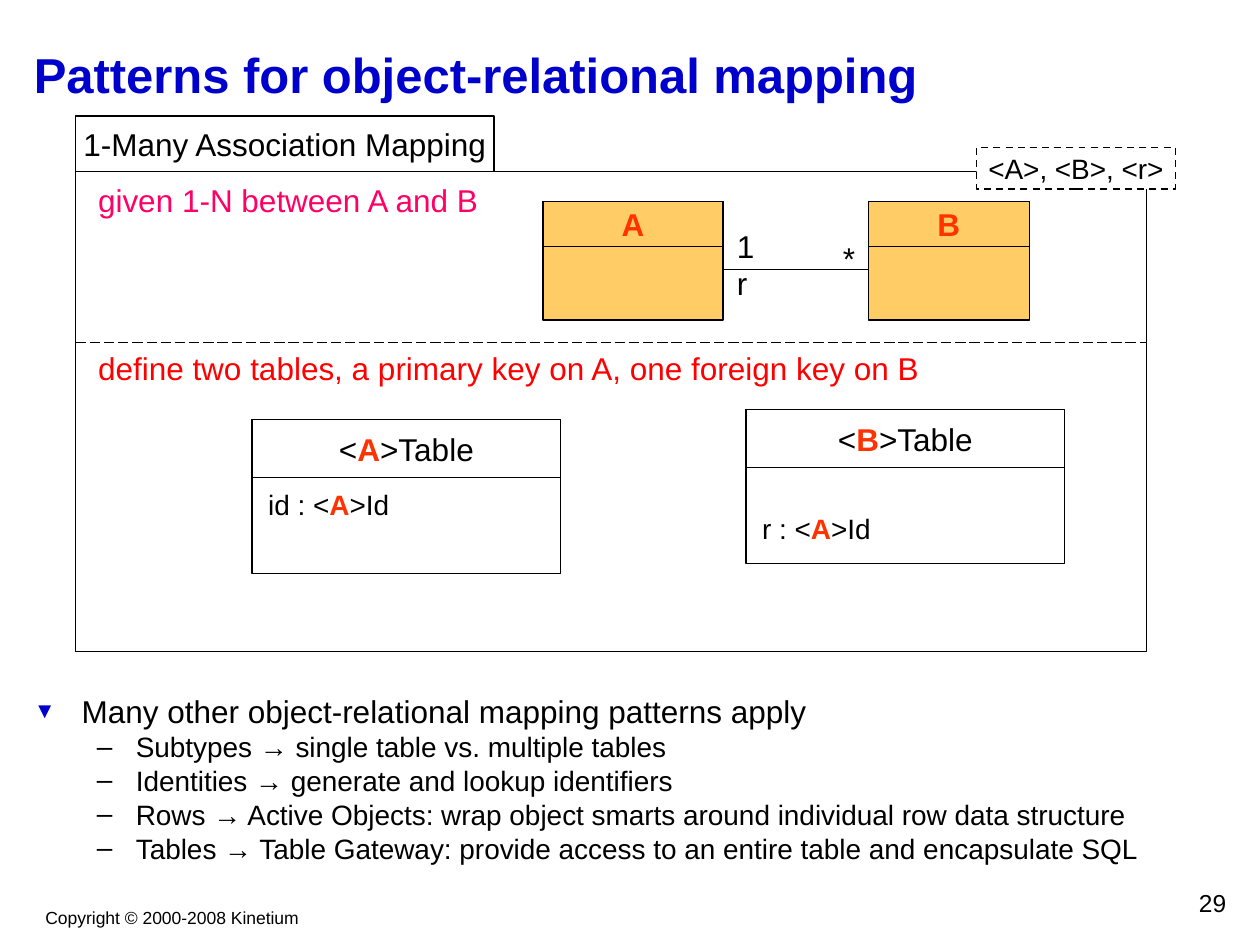
"""Build the slide on patterns for object-relational mapping."""
from lxml import etree
from pptx import Presentation
from pptx.dml.color import RGBColor
from pptx.enum.dml import MSO_LINE
from pptx.enum.shapes import MSO_CONNECTOR, MSO_SHAPE
from pptx.enum.text import MSO_ANCHOR, PP_ALIGN
from pptx.oxml.ns import qn
from pptx.util import Inches, Pt

RECT, STRAIGHT = MSO_SHAPE.RECTANGLE, MSO_CONNECTOR.STRAIGHT
DASH, LONG_DASH = MSO_LINE.DASH, MSO_LINE.LONG_DASH
TOP, MIDDLE = MSO_ANCHOR.TOP, MSO_ANCHOR.MIDDLE
LEFT, CENTER, RIGHT = PP_ALIGN.LEFT, PP_ALIGN.CENTER, PP_ALIGN.RIGHT
THEME = {
    "font": "Arial", "title": 28, "text": 18, "small": 16, "page": 14, "footer": 10,
    "black": RGBColor(0, 0, 0), "white": RGBColor(255, 255, 255),
    "blue": RGBColor(0, 0, 0xCC), "accent": RGBColor(0xFF, 0x33, 0),
    "red": RGBColor(255, 0, 0), "pink": RGBColor(0xFF, 0, 0x66),
    "class": RGBColor(0xFF, 0xCC, 0x66),
}


def write(tf, lines, size="text", color="black", bold=False, align=LEFT, anchor=TOP, wrap=False):
    """Write lines of text; parts between bars are accented."""
    tf.word_wrap, tf.vertical_anchor = wrap, anchor
    for i, line in enumerate(lines):
        p = tf.paragraphs[0] if i == 0 else tf.add_paragraph()
        p.alignment = align
        for j, part in enumerate(line.split("|")):
            if part:
                r = p.add_run()
                r.text = part
                fmt = {"name": THEME["font"], "size": Pt(THEME[size]), "bold": bold or j % 2 == 1}
                for key, value in fmt.items():
                    setattr(r.font, key, value)
                r.font.color.rgb = THEME["accent" if j % 2 else color]


def box(shapes, x, y, w, h, text="", fill=None, size="text", dash=None):
    """Draw an outlined rectangle with an optional centred label."""
    sp = shapes.add_shape(RECT, Inches(x), Inches(y), Inches(w), Inches(h))
    sp.shadow.inherit = False
    if fill:
        sp.fill.solid()
        sp.fill.fore_color.rgb = THEME[fill]
    else:
        sp.fill.background()
    sp.line.color.rgb = THEME["black"]
    sp.line.width = Pt(1 if dash else 0.75)
    sp.line.dash_style = dash
    if text:
        write(sp.text_frame, [text], size, align=CENTER, anchor=MIDDLE)


prs = Presentation()
prs.slide_width, prs.slide_height = Inches(10), Inches(7.5)
s = prs.slides.add_slide(prs.slide_layouts[6])

box(s.shapes, 0.6, 1.36, 8.5, 3.81)
box(s.shapes, 0.6, 0.92, 3.32, 0.44, "1-Many Association Mapping")

for x, y, w, name, field, field_y in [
    (2, 3.33, 2.45, "<|A|>Table", "id : <|A|>Id", 3.82),
    (5.92, 3.25, 2.53, "<|B|>Table", "r : <|A|>Id", 4.01),
]:
    group = s.shapes.add_group_shape()
    box(group.shapes, x, y, w, 1.22, fill="white")
    box(group.shapes, x, y, w, 0.46, name, "white")
    tb = group.shapes.add_textbox(Inches(x + 0.03), Inches(field_y), Inches(1.16), Inches(0.37))
    write(tb.text_frame, [field], "small")

for x, w, name in [(4.31, 1.43, "|A|"), (6.89, 1.28, "|B|")]:
    box(s.shapes, x, 1.6, w, 0.94, fill="class")
    box(s.shapes, x, 1.6, w, 0.36, name)

for x1, x2, y, dash in [(0.6, 9.1, 2.72, LONG_DASH), (5.74, 6.89, 2.14, None)]:
    cn = s.shapes.add_connector(STRAIGHT, Inches(x1), Inches(y), Inches(x2), Inches(y))
    cn.line.color.rgb = THEME["black"]
    cn.line.width = Pt(0.75)
    cn.line.dash_style = dash
    etree.SubElement(cn._element.spPr, qn("a:effectLst"))

box(s.shapes, 7.75, 1.17, 1.58, 0.33, "<A>, <B>, <r>", "white", "small", DASH)

for x, y, w, h, lines, fmt in [
    (0.17, 0.17, 9.67, 0.83, ["Patterns for object-relational mapping"],
     {"size": "title", "color": "blue", "bold": True, "anchor": MIDDLE, "wrap": True}),
    (0.68, 1.39, 3.24, 0.4, ["given 1-N between A and B"], {"color": "pink"}),
    (0.68, 2.72, 6.73, 0.4, ["define two tables, a primary key on A, one foreign key on B"],
     {"color": "red"}),
    (6.59, 1.85, 0.29, 0.4, ["*"], {}),
    (5.75, 1.75, 0.34, 0.7, ["1", "r"], {}),
    (0.26, 7.15, 2.21, 0.27, ["Copyright © 2000-2008 Kinetium"],
     {"size": "footer", "align": CENTER}),
    (7.75, 7, 2.08, 0.33, ["29"], {"size": "page", "align": RIGHT, "wrap": True}),
]:
    tb = s.shapes.add_textbox(Inches(x), Inches(y), Inches(w), Inches(h))
    write(tb.text_frame, lines, **fmt)

tb = s.shapes.add_textbox(Inches(0.17), Inches(5.5), Inches(9.67), Inches(1.42))
write(tb.text_frame, [
    "Many other object-relational mapping patterns apply",
    "Subtypes → single table vs. multiple tables",
    "Identities → generate and lookup identifiers",
    "Rows → Active Objects: wrap object smarts around individual row data structure",
    "Tables → Table Gateway: provide access to an entire table and encapsulate SQL",
], "small", wrap=True)
for i, p in enumerate(tb.text_frame.paragraphs):
    margin, indent, mark, color, scale = (
        (0.81, -0.31, "–", "black", 100) if i else (0.38, -0.38, "▼", "blue", 70))
    pPr = p._p.get_or_add_pPr()
    pPr.set("marL", str(Inches(margin)))
    pPr.set("indent", str(Inches(indent)))
    buClr = etree.SubElement(pPr, qn("a:buClr"))
    etree.SubElement(buClr, qn("a:srgbClr"), val=str(THEME[color]))
    etree.SubElement(pPr, qn("a:buSzPct"), val=str(scale * 1000))
    etree.SubElement(pPr, qn("a:buFont"), typeface=THEME["font"])
    etree.SubElement(pPr, qn("a:buChar"), char=mark)
    p.level = min(i, 1)
    p.line_spacing = 0.8
    p.space_before = Pt(4 if i else 0)
tb.text_frame.paragraphs[0].runs[0].font.size = Pt(THEME["text"])

prs.save("out.pptx")
